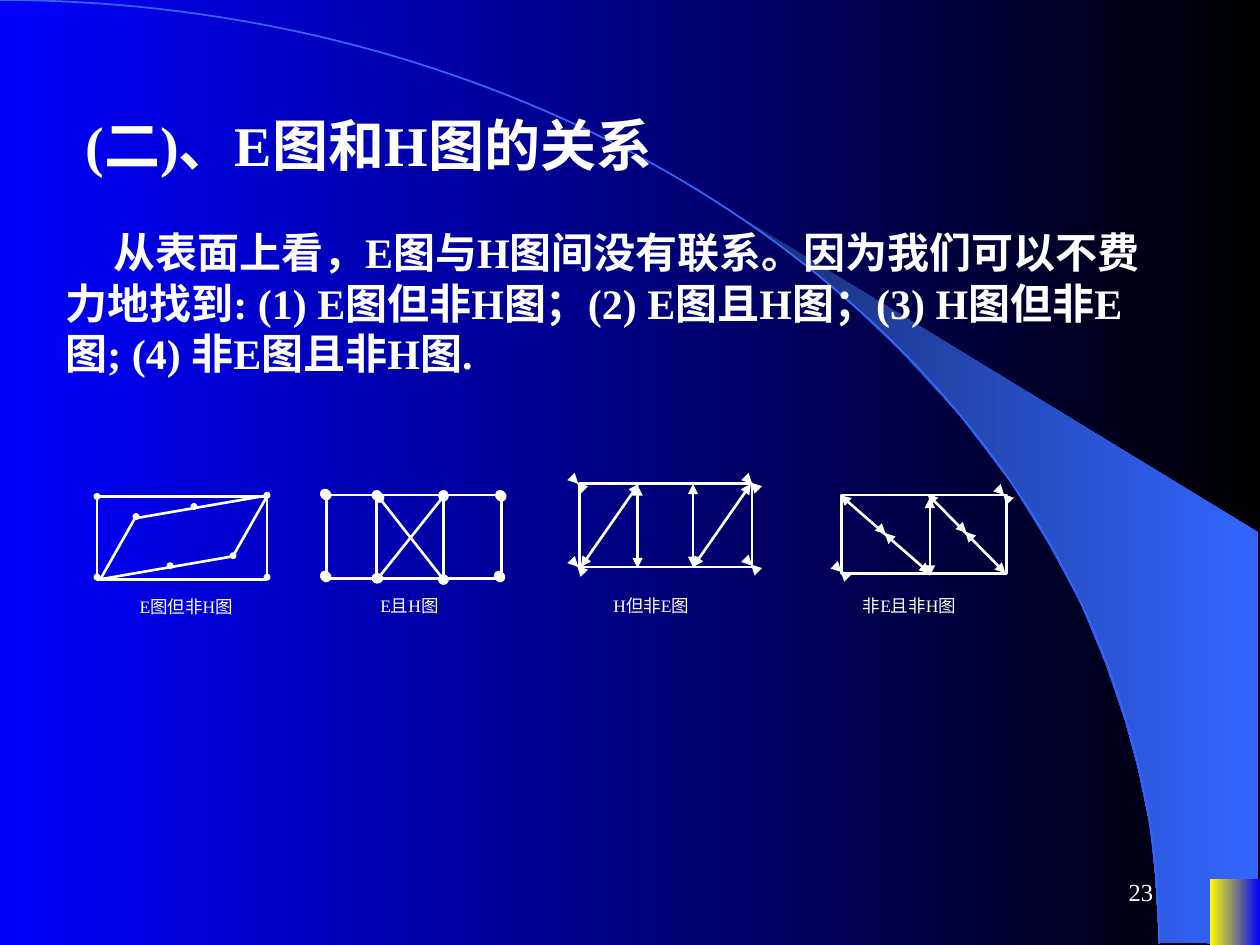
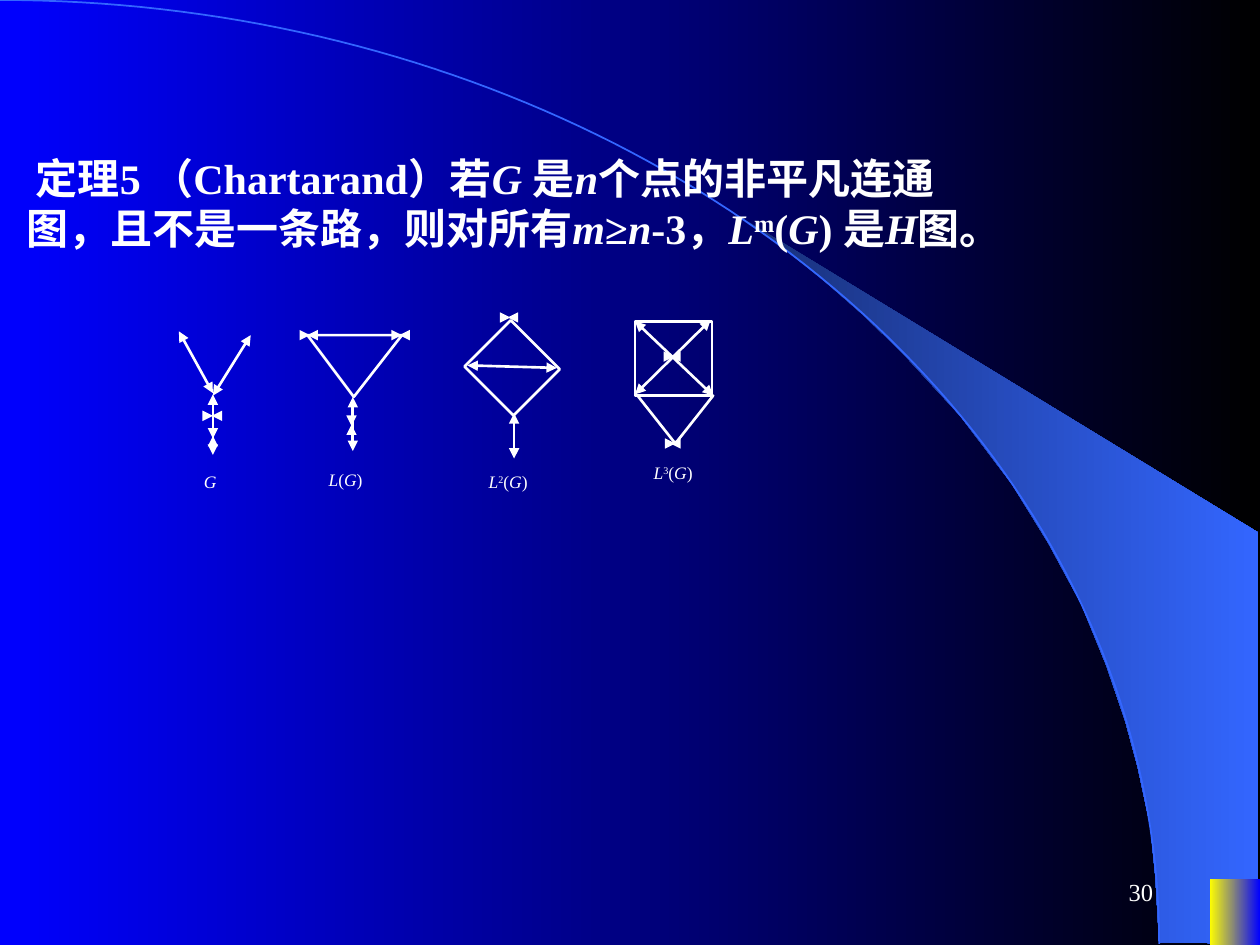
from math import cos, pi, sin
from typing import NamedTuple

from lxml import etree
from pptx import Presentation
from pptx.dml import color as dml
from pptx.enum import shapes, text
from pptx.oxml import ns
from pptx.util import Inches, Pt

WHITE = dml.RGBColor(0xFF, 0xFF, 0xFF)
BLACK = dml.RGBColor(0, 0, 0)
BLUE = dml.RGBColor(0, 0, 0xFF)
YELLOW = dml.RGBColor(0xFF, 0xFF, 0)
NAVY = dml.RGBColor(0x18, 0x2F, 0x76)
AZURE = dml.RGBColor(0x33, 0x66, 0xFF)
FONT = "Times New Roman"
STROKE_WIDTH = Pt(1.5)
RECTANGLE = shapes.MSO_SHAPE.RECTANGLE
TRIANGLE = shapes.MSO_SHAPE.ISOSCELES_TRIANGLE
PARALLELOGRAM = shapes.MSO_SHAPE.PARALLELOGRAM
LEFT = text.PP_ALIGN.LEFT
RIGHT = text.PP_ALIGN.RIGHT
JUSTIFY = text.PP_ALIGN.JUSTIFY

ARC_WIDTH, ARC_HEIGHT, ARC_STEPS = 9.2, 7.49, 90
SWOOSH = [
    (9.2, 7.48), (9.99, 7.49), (9.99, 4.23), (5.89, 1.73), (6.24, 1.99),
    (6.53, 2.22), (6.85, 2.5), (7.16, 2.8), (7.62, 3.3), (8.03, 3.84),
    (8.32, 4.31), (8.58, 4.79), (8.78, 5.28), (8.93, 5.72), (9.03, 6.09),
    (9.13, 6.56), (9.17, 6.96),
]


class Span(NamedTuple):
    content: str
    italic: bool = False
    raised: bool = False


class Words(NamedTuple):
    left: float
    top: float
    width: float
    height: float
    lines: list[list[Span]]
    size: float = 10
    bold: bool = False
    align: text.PP_ALIGN = JUSTIFY
    indent: float = 0
    middle: bool = False
    wrap: bool = True


class Outline(NamedTuple):
    left: float
    top: float
    width: float
    height: float
    kind: shapes.MSO_SHAPE = RECTANGLE
    rotation: float = 0
    adjustment: float | None = None


class Ends(NamedTuple):
    kind: str
    size: str = "med"
    both: bool = True


class Stroke(NamedTuple):
    x1: float
    y1: float
    x2: float
    y2: float


class Figure(NamedTuple):
    label: Words
    outlines: list[Outline]
    strokes: list[Stroke]
    ends: Ends


DOTS = Ends("oval")
SMALL_DOT = Ends("oval", "sm", False)
ARROWS = Ends("triangle")


def vertices(*points: tuple[float, float]) -> list[Stroke]:
    return [Stroke(x, y, x + 0.01, y + 0.01) for x, y in points]


def plain(content: str) -> list[list[Span]]:
    return [[Span(content)]]


def line_graph(power: str = "") -> list[list[Span]]:
    exponent = [Span(power, raised=True)] if power else []
    return [[Span("L", True), *exponent, Span("("), Span("G", True), Span(")")]]


RELATION_TEXTS = [
    Words(0.58, 0.83, 7.33, 0.64, plain("(二)、E图和H图的关系"), 32, True, LEFT),
    Words(0.42, 1.75, 8.75, 1.3,
          plain("从表面上看，E图与H图间没有联系。因为我们可以不费力地找到: "
                "(1) E图但非H图；(2) E图且H图；(3) H图但非E图; (4) 非E图且非H图."),
          24, True, LEFT, 0.38),
]

RELATION_FIGURES = [
    Figure(Words(2.92, 4.67, 0.81, 0.28, plain("E且H图")),
           [Outline(2.59, 3.93, 1.39, 0.66)],
           [Stroke(3.52, 3.93, 3.52, 4.6), Stroke(3, 4.59, 3.52, 3.94),
            Stroke(3.52, 4.6, 3.01, 3.95), Stroke(2.99, 3.93, 2.99, 4.59),
            *vertices((2.58, 4.57), (2.58, 3.92), (3.96, 4.57), (3.97, 3.93))],
           DOTS),
    Figure(Words(1.01, 4.68, 0.96, 0.28, plain("E图但非H图")),
           [Outline(0.77, 3.94, 1.35, 0.66),
            Outline(0.75, 4.05, 1.42, 0.43, PARALLELOGRAM, 350.2, 0.82)],
           vertices((2.11, 4.57), (0.76, 4.57), (0.76, 3.93), (2.11, 3.92),
                    (1.34, 4.48), (1.53, 4.01), (1.07, 4.09), (1.84, 4.4)),
           SMALL_DOT),
    Figure(Words(4.77, 4.67, 1.25, 0.33, plain("H但非E图")),
           [Outline(4.6, 3.84, 1.37, 0.66)],
           [Stroke(5.5, 3.84, 5.5, 4.5), Stroke(4.61, 4.5, 5.07, 3.84),
            Stroke(5.06, 3.85, 5.06, 4.51), Stroke(5.5, 4.5, 5.96, 3.84),
            *vertices((5.96, 3.83), (5.96, 4.48), (4.58, 3.83), (4.58, 4.49))],
           ARROWS),
    Figure(Words(6.75, 4.67, 1.42, 0.35, plain("非E且非H图")),
           [Outline(6.68, 3.93, 1.31, 0.62)],
           [Stroke(7.36, 3.92, 7.98, 4.55), Stroke(6.67, 3.93, 7.38, 4.55),
            Stroke(7.38, 3.95, 7.38, 4.57),
            *vertices((6.67, 4.53), (7.96, 3.92), (7.02, 4.23), (7.66, 4.22))],
           ARROWS),
]

THEOREM_TEXTS = [
    Words(0.11, 1.16, 8.42, 0.9, [
        [Span(" 定理5 （Chartarand）若"), Span("G ", True), Span("是"),
         Span("n", True), Span("个点的非平凡连通")],
        [Span("图，且不是一条路，则对所有"), Span("m", True), Span("≥"),
         Span("n", True), Span("-3，"), Span("L", True), Span("m", raised=True),
         Span("("), Span("G", True), Span(") 是"), Span("H", True), Span("图。")],
    ], 24, True, LEFT, middle=True, wrap=False),
]

THEOREM_FIGURES = [
    Figure(Words(1.52, 3.69, 0.36, 0.3, [[Span("G", True)]]),
           [],
           [Stroke(1.42, 2.63, 1.69, 3.12), Stroke(1.69, 3.14, 1.99, 2.66),
            Stroke(1.69, 3.13, 1.69, 3.61), Stroke(1.68, 3.3, 1.69, 3.3),
            Stroke(1.69, 3.48, 1.69, 3.46)],
           ARROWS),
    Figure(Words(2.51, 3.67, 0.59, 0.31, line_graph()),
           [Outline(2.44, 2.66, 0.75, 0.49, TRIANGLE, 180, 0.51)],
           [Stroke(2.8, 3.15, 2.8, 3.58), Stroke(3.17, 2.66, 3.19, 2.66),
            Stroke(2.44, 2.66, 2.46, 2.66), Stroke(2.79, 3.38, 2.79, 3.37)],
           ARROWS),
    Figure(Words(3.78, 3.69, 0.67, 0.28, line_graph("2")),
           [Outline(3.79, 2.66, 0.55, 0.52, rotation=45)],
           [Stroke(3.71, 2.9, 4.42, 2.92), Stroke(4.08, 3.28, 4.08, 3.64),
            Stroke(4.03, 2.52, 4.05, 2.52)],
           ARROWS),
    Figure(Words(5.09, 3.62, 0.67, 0.28, line_graph("3")),
           [Outline(5.04, 2.55, 0.61, 0.59),
            Outline(5.06, 3.14, 0.6, 0.38, TRIANGLE, 180)],
           [Stroke(5.66, 3.14, 5.04, 2.55), Stroke(5.64, 2.54, 5.04, 3.13),
            Stroke(5.32, 2.83, 5.35, 2.83), Stroke(5.32, 3.52, 5.36, 3.52)],
           ARROWS),
]


def fill_gradient(fill, start: dml.RGBColor, end: dml.RGBColor) -> None:
    fill.gradient()
    fill.gradient_angle = 0
    for stop, position, shade in zip(fill.gradient_stops, (0, 1), (start, end)):
        stop.position = position
        stop.color.rgb = shade


def draw_path(page, points: list[tuple[float, float]], close: bool):
    corners = [(Inches(x), Inches(y)) for x, y in points]
    builder = page.shapes.build_freeform(*corners[0])
    builder.add_line_segments(corners[1:], close=close)
    path_shape = builder.convert_to_shape()
    path_shape.shadow.inherit = False
    return path_shape


def draw_words(page, words: Words) -> None:
    box = page.shapes.add_textbox(*map(Inches, words[:4]))
    frame = box.text_frame
    frame.word_wrap = words.wrap
    frame.vertical_anchor = (
        text.MSO_ANCHOR.MIDDLE if words.middle else text.MSO_ANCHOR.TOP)
    for index, line in enumerate(words.lines):
        para = frame.add_paragraph() if index else frame.paragraphs[0]
        para.alignment = words.align
        if words.indent:
            para._p.get_or_add_pPr().set("indent", str(Inches(words.indent)))
        for span in line:
            run = para.add_run()
            run.text = span.content
            run.font.name = FONT
            run.font.size = Pt(words.size)
            run.font.bold = words.bold
            run.font.italic = span.italic
            run.font.color.rgb = WHITE
            if span.raised:
                run._r.get_or_add_rPr().set("baseline", "30000")


def draw_outline(page, outline: Outline) -> None:
    shape = page.shapes.add_shape(outline.kind, *map(Inches, outline[:4]))
    shape.shadow.inherit = False
    shape.rotation = outline.rotation
    if outline.adjustment is not None:
        shape.adjustments[0] = outline.adjustment
    shape.fill.background()
    shape.line.color.rgb = WHITE
    shape.line.width = STROKE_WIDTH


def draw_stroke(page, stroke: Stroke, ends: Ends) -> None:
    connector = page.shapes.add_connector(
        shapes.MSO_CONNECTOR.STRAIGHT, *map(Inches, stroke))
    connector.line.color.rgb = WHITE
    connector.line.width = STROKE_WIDTH
    line = connector.line._get_or_add_ln()
    for tag in ("a:headEnd", "a:tailEnd") if ends.both else ("a:tailEnd",):
        etree.SubElement(line, ns.qn(tag), type=ends.kind, w=ends.size, len=ends.size)
    etree.SubElement(connector._element.spPr, ns.qn("a:effectLst"))


def draw_figure(page, figure: Figure) -> None:
    for outline in figure.outlines:
        draw_outline(page, outline)
    for stroke in figure.strokes:
        draw_stroke(page, stroke, figure.ends)
    draw_words(page, figure.label)


def add_page(deck, number: str, texts: list[Words], figures: list[Figure]) -> None:
    page = deck.slides.add_slide(deck.slide_layouts[6])
    fill_gradient(page.background.fill, BLUE, BLACK)

    swoosh = draw_path(page, SWOOSH, True)
    fill_gradient(swoosh.fill, NAVY, AZURE)
    swoosh.line.fill.background()

    angles = [pi / 2 * step / ARC_STEPS for step in range(ARC_STEPS + 1)]
    arc = draw_path(page, [(ARC_WIDTH * sin(angle), ARC_HEIGHT * (1 - cos(angle)))
                           for angle in angles], False)
    arc.fill.background()
    arc.line.color.rgb = AZURE
    arc.line.width = Pt(1)

    corner = page.shapes.add_shape(RECTANGLE, *map(Inches, (9.6, 6.98, 0.4, 0.52)))
    corner.shadow.inherit = False
    fill_gradient(corner.fill, YELLOW, BLUE)
    corner.line.fill.background()

    draw_words(page, Words(7.17, 6.83, 2.08, 0.5, plain(number), 14,
                           align=RIGHT, middle=True))
    for words in texts:
        draw_words(page, words)
    for figure in figures:
        draw_figure(page, figure)


def main() -> None:
    deck = Presentation()
    deck.slide_width, deck.slide_height = Inches(10), Inches(7.5)
    add_page(deck, "23", RELATION_TEXTS, RELATION_FIGURES)
    add_page(deck, "30", THEOREM_TEXTS, THEOREM_FIGURES)
    deck.save("out.pptx")


if __name__ == "__main__":
    main()
